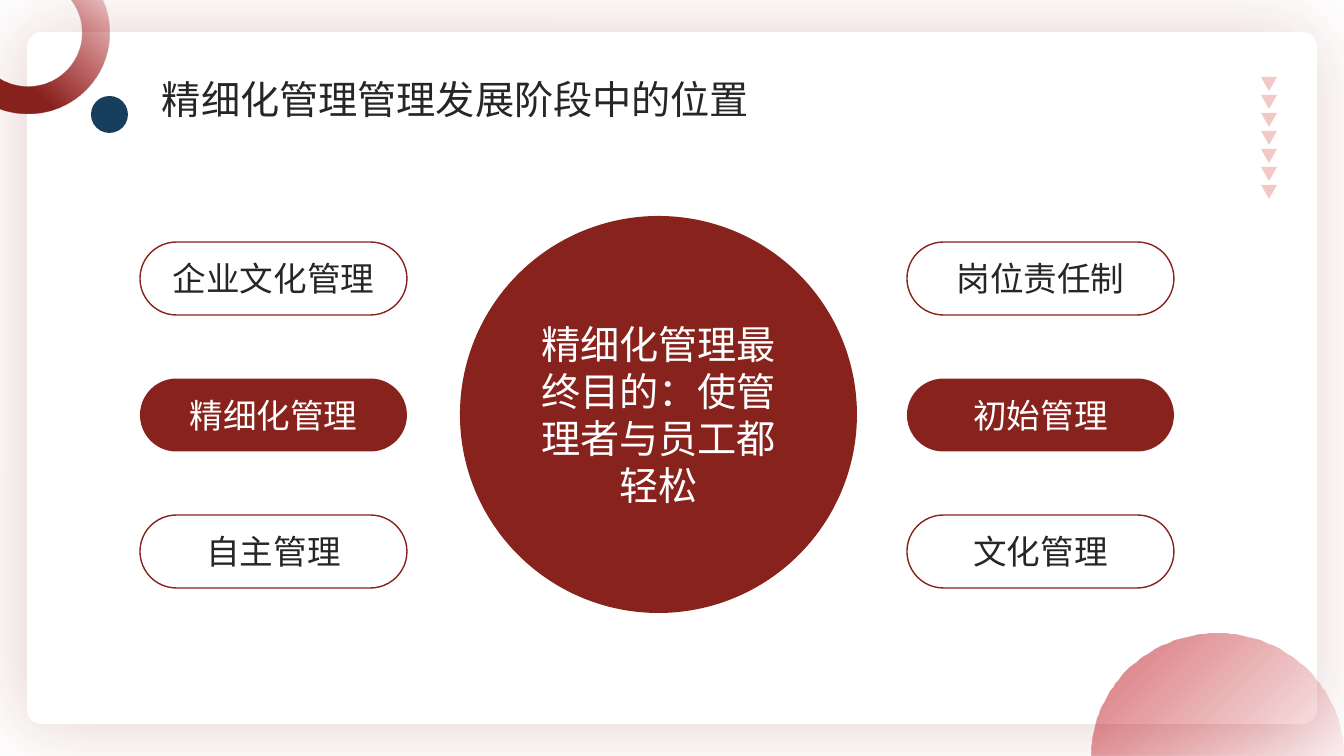
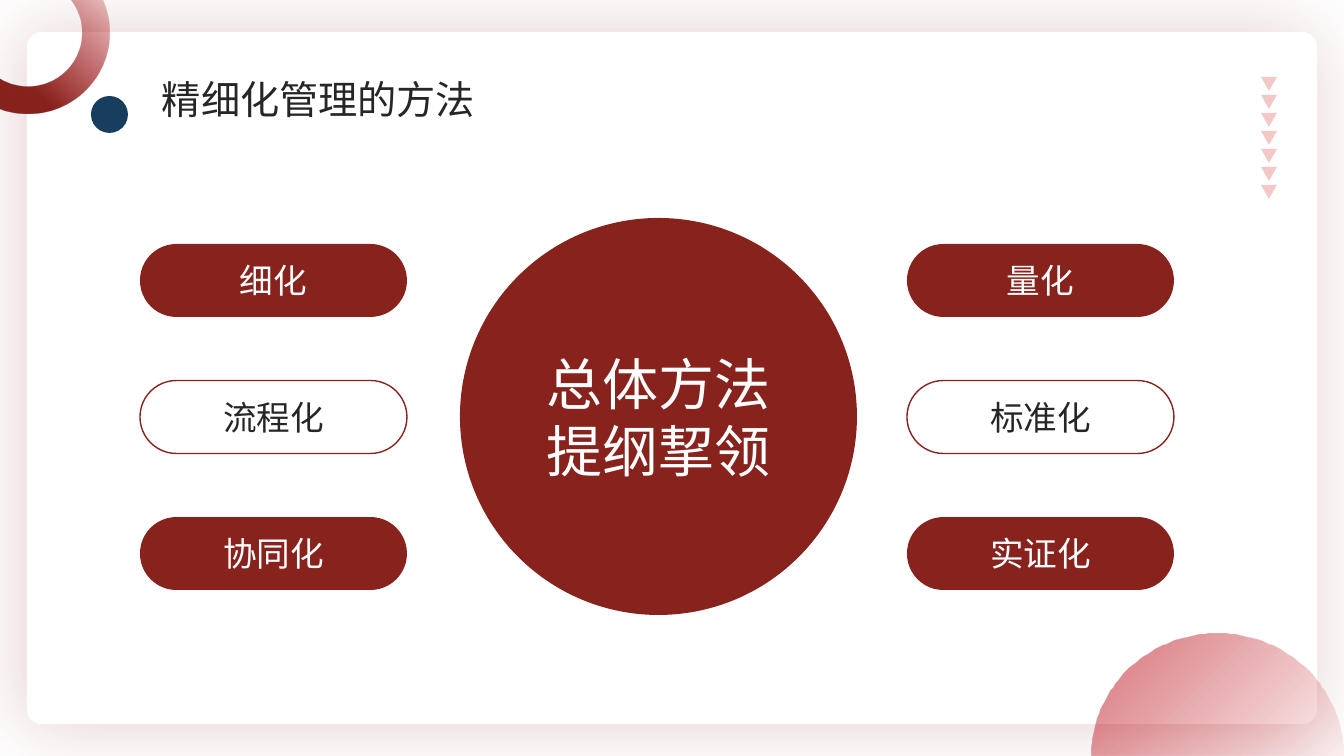
import math

import pptx
import pptx.dml.color
import pptx.enum.shapes
import pptx.enum.text
import pptx.oxml
import pptx.oxml.ns
import pptx.util

RGBColor = pptx.dml.color.RGBColor
SHAPE = pptx.enum.shapes.MSO_SHAPE
ALIGN = pptx.enum.text.PP_ALIGN

MAROON = RGBColor(0x88, 0x22, 0x1D)
RED = RGBColor(0xB9, 0x00, 0x0B)
NAVY = RGBColor(0x17, 0x3E, 0x5D)
PINK = RGBColor(0xF3, 0xC8, 0xC6)
INK = RGBColor(0x26, 0x26, 0x26)
WHITE = RGBColor(0xFF, 0xFF, 0xFF)
FONT = "Noto Sans CJK SC"

SLIDES = [
    {
        "title": "精细化管理管理发展阶段中的位置",
        "hub": "精细化管理最终目的：使管理者与员工都轻松",
        "hub_size": 28,
        "hub_top": 216,
        "columns": (
            ("企业文化管理", "精细化管理", "自主管理"),
            ("岗位责任制", "初始管理", "文化管理"),
        ),
        "solid_rows": (1,),
    },
    {
        "title": "精细化管理的方法",
        "hub": "总体方法\n提纲挈领",
        "hub_size": 40,
        "hub_top": 218,
        "columns": (
            ("细化", "流程化", "协同化"),
            ("量化", "标准化", "实证化"),
        ),
        "solid_rows": (0, 2),
    },
]

SLIDE_W, SLIDE_H = 1344, 756
EMU_PER_PX = 914400 / 100.8
HUB_LEFT, HUB_SIZE = 460, 397
PILL_LEFTS, PILL_W, PILL_H = (140, 907), 267, 73
PILL_DROP, PILL_SPAN = 26, 273
ARROW_LEFT, ARROW_TOP, ARROW_W, ARROW_H = 1261, 77, 16, 14
ARROW_COUNT, ARROW_PITCH = 7, 18
DOME_CENTER, DOME_RX, DOME_RY, DOME_STEPS = 1218, 126, 122, 90

SHADOW = (
    '<a:outerShdw %s blurRad="685800" dist="38100" dir="10800000" algn="r" '
    'rotWithShape="0"><a:srgbClr val="%s"><a:alpha val="22000"/></a:srgbClr>'
    "</a:outerShdw>"
)


def px(length):
    return pptx.util.Emu(round(length * EMU_PER_PX))


def paint(shape, fill=None, line=None, width=1):
    shape.shadow.inherit = False
    if fill is not None:
        shape.fill.solid()
        shape.fill.fore_color.rgb = fill
    if line is None:
        shape.line.fill.background()
    else:
        shape.line.color.rgb = line
        shape.line.width = pptx.util.Pt(width)


def add_shape(slide, preset, box, fill=None, line=None, width=1, adjust=None):
    shape = slide.shapes.add_shape(preset, *map(px, box))
    if adjust is not None:
        shape.adjustments[0] = adjust
    paint(shape, fill, line, width)
    return shape


def add_outline(slide, contours, fill=None):
    builder = slide.shapes.build_freeform(*contours[0][0], scale=EMU_PER_PX)
    for index, points in enumerate(contours):
        if index:
            builder.move_to(*points[0])
        builder.add_line_segments(points[1:], close=True)
    shape = builder.convert_to_shape()
    paint(shape, fill)
    return shape


def fill_gradient(shape, stops, angle):
    shape.fill.gradient()
    shape.fill.gradient_angle = angle
    for stop, (position, color, alpha) in zip(shape.fill.gradient_stops, stops):
        stop.position = position
        stop.color.rgb = color
    colors = shape._element.spPr.findall(".//" + pptx.oxml.ns.qn("a:srgbClr"))
    for element, (position, color, alpha) in zip(colors, stops):
        element.append(pptx.oxml.parse_xml(
            '<a:alpha %s val="%d"/>' % (pptx.oxml.ns.nsdecls("a"), alpha * 1000)))


def write(shape, text, size, color, align):
    frame = shape.text_frame
    frame.word_wrap = True
    frame.text = text
    for paragraph in frame.paragraphs:
        paragraph.alignment = align
        for run in paragraph.runs:
            run.font.size = pptx.util.Pt(size)
            run.font.color.rgb = color
            run.font.name = FONT
            run.font._element.append(pptx.oxml.parse_xml(
                '<a:ea %s typeface="%s"/>' % (pptx.oxml.ns.nsdecls("a"), FONT)))


def add_backdrop(slide):
    card = add_shape(slide, SHAPE.ROUNDED_RECTANGLE, (28, 33, 1288, 690),
                     WHITE, WHITE, 1.5, 0.02)
    effects = card._element.spPr.find(pptx.oxml.ns.qn("a:effectLst"))
    effects.append(pptx.oxml.parse_xml(
        SHADOW % (pptx.oxml.ns.nsdecls("a"), MAROON)))

    ring = add_shape(slide, SHAPE.DONUT, (-53, -48, 162, 162), adjust=0.17)
    fill_gradient(ring, ((0.34, MAROON, 100), (1, RED, 0)), 45)
    add_shape(slide, SHAPE.OVAL, (91, 96, 37, 37), NAVY)

    angles = [math.pi * step / DOME_STEPS for step in range(DOME_STEPS + 1)]
    arc = [(round(DOME_CENTER - DOME_RX * math.cos(a), 2),
            round(SLIDE_H - DOME_RY * math.sin(a), 2)) for a in angles]
    dome = add_outline(slide, [arc])
    fill_gradient(dome, ((0.02, RED, 54), (1, RED, 5)), 315)

    tops = [ARROW_TOP + ARROW_PITCH * i for i in range(ARROW_COUNT)]
    add_outline(slide, [[(ARROW_LEFT, top), (ARROW_LEFT + ARROW_W, top),
                         (ARROW_LEFT + ARROW_W / 2, top + ARROW_H)]
                        for top in tops], PINK)


def add_title(slide, text):
    title = slide.shapes.add_textbox(*map(px, (152, 70, 628, 57)))
    write(title, text, 28, INK, ALIGN.LEFT)
    title.text_frame.auto_size = pptx.enum.text.MSO_AUTO_SIZE.SHAPE_TO_FIT_TEXT


def add_pill(slide, text, left, top, solid):
    pill = add_shape(slide, SHAPE.ROUNDED_RECTANGLE, (left, top, PILL_W, PILL_H),
                     MAROON if solid else WHITE, None if solid else MAROON,
                     adjust=0.5)
    write(pill, text, 24, WHITE if solid else INK, ALIGN.CENTER)


def build_slide(deck, content):
    slide = deck.slides.add_slide(deck.slide_layouts[6])
    add_backdrop(slide)
    hub = add_shape(slide, SHAPE.OVAL,
                    (HUB_LEFT, content["hub_top"], HUB_SIZE, HUB_SIZE), MAROON)
    write(hub, content["hub"], content["hub_size"], WHITE, ALIGN.CENTER)
    for left, labels in zip(PILL_LEFTS, content["columns"]):
        pitch = PILL_SPAN / (len(labels) - 1)
        for row, label in enumerate(labels):
            top = content["hub_top"] + PILL_DROP + pitch * row
            add_pill(slide, label, left, top, row in content["solid_rows"])
    add_title(slide, content["title"])


def main():
    deck = pptx.Presentation()
    deck.slide_width, deck.slide_height = px(SLIDE_W), px(SLIDE_H)
    for content in SLIDES:
        build_slide(deck, content)
    deck.save("out.pptx")


if __name__ == "__main__":
    main()
